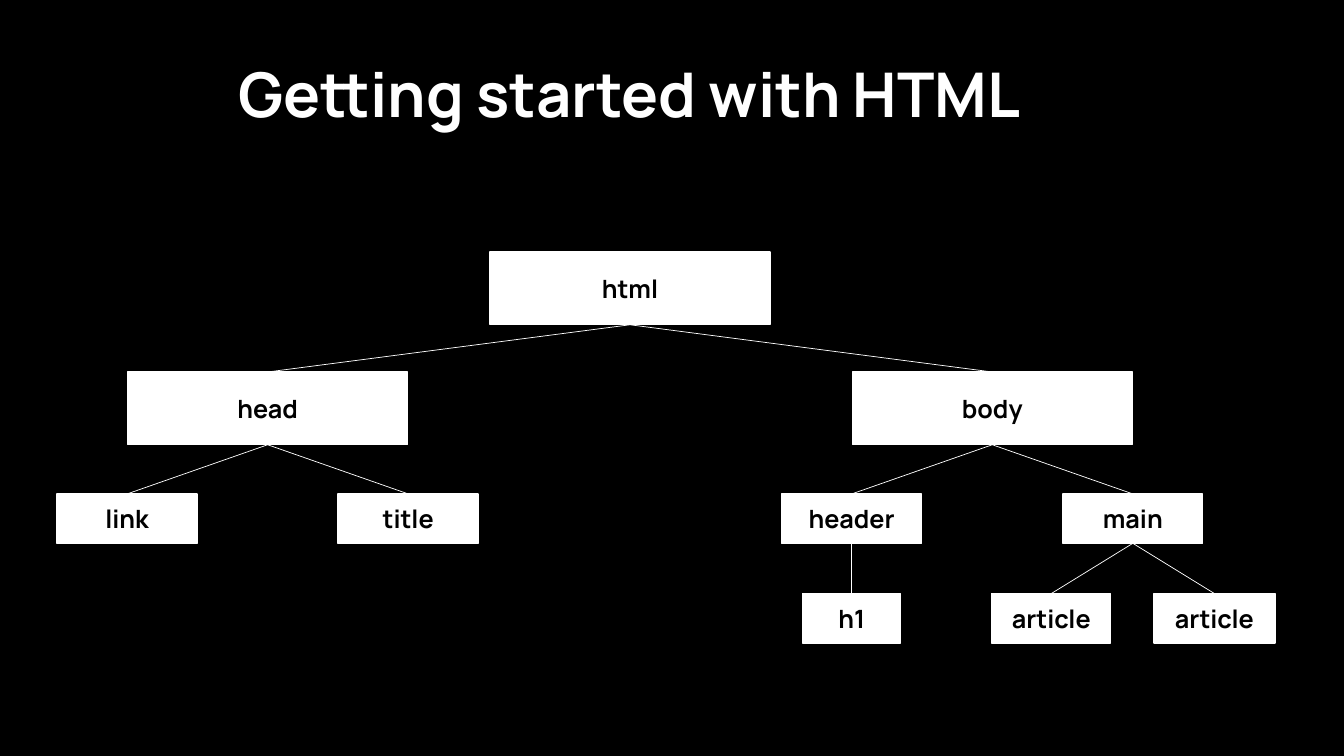
import dataclasses

import pptx
import pptx.dml.color
import pptx.enum.shapes
import pptx.enum.text
import pptx.oxml.ns
import pptx.util
from lxml import etree

Pt = pptx.util.Pt
RGB = pptx.dml.color.RGBColor.from_string
ALIGN = pptx.enum.text.PP_ALIGN
ANCHOR = pptx.enum.text.MSO_ANCHOR
SHAPE = pptx.enum.shapes.MSO_SHAPE
LINK = pptx.enum.shapes.MSO_CONNECTOR


@dataclasses.dataclass(frozen=True)
class Theme:
    dark: str = "000000"
    light: str = "FFFFFF"
    font: str = "Manrope"
    head: float = 44
    label: float = 18
    edge: float = 1
    link: float = 0.5


THEME = Theme()

# Each level: top offset in the tree box, height of its nodes
LEVELS = [(0, 52), (85.7, 52), (172.8, 35.3), (244, 35.3)]

# Each node: label, centre offset from its parent, width, children
TREE = ("html", 0, 200, [
    ("head", -258.8, 200, [
        ("link", -100.4, 100, []),
        ("title", 100.4, 100, []),
    ]),
    ("body", 258.8, 200, [
        ("header", -100.4, 100, [("h1", 0, 70, [])]),
        ("main", 100.4, 100, [
            ("article", -58.3, 85, []),
            ("article", 58.3, 86.4, []),
        ]),
    ]),
])


def style(item, values):
    """Set each attribute of item from a dict."""
    for key, value in values.items():
        setattr(item, key, value)


def write(shape, text, size, color, space=1.0):
    frame = shape.text_frame
    style(frame, {"word_wrap": True, "vertical_anchor": ANCHOR.MIDDLE})
    para = frame.paragraphs[0]
    style(para, {"alignment": ALIGN.CENTER, "line_spacing": space})
    run = para.add_run()
    run.text = text
    style(run.font, {"name": THEME.font, "size": Pt(size), "bold": True})
    run.font.color.rgb = RGB(color)


def title(slide, box, text):
    shape = slide.shapes.add_textbox(*map(Pt, box))
    write(shape, text, THEME.head, THEME.light, 0.9)


def node(slide, box, text):
    shape = slide.shapes.add_shape(SHAPE.RECTANGLE, *map(Pt, box))
    shape.shadow.inherit = False
    shape.fill.solid()
    shape.fill.fore_color.rgb = RGB(THEME.light)
    shape.line.color.rgb = RGB(THEME.light)
    shape.line.width = Pt(THEME.edge)
    write(shape, text, THEME.label, THEME.dark)
    return shape


def join(slide, upper, lower):
    """Link the bottom of one node to the top of another."""
    line = slide.shapes.add_connector(LINK.STRAIGHT, 0, 0, 0, 0)
    line.begin_connect(upper, 2)
    line.end_connect(lower, 0)
    line.line.color.rgb = RGB(THEME.light)
    line.line.width = Pt(THEME.link)
    props = line._element.spPr
    etree.SubElement(props, pptx.oxml.ns.qn("a:effectLst"))


def tree(slide, box, data, mid=None, depth=0):
    """Draw a node and its children; mid is the centre of the node."""
    text, _, width, kids = data
    left, top, span, _ = box
    if mid is None:
        mid = left + span / 2
    drop, height = LEVELS[depth]
    shape = node(slide, (mid - width / 2, top + drop, width, height), text)
    for kid in kids:
        lower = tree(slide, box, kid, mid + kid[1], depth + 1)
        join(slide, shape, lower)
    return shape


def main():
    deck = pptx.Presentation()
    style(deck, {"slide_width": Pt(960), "slide_height": Pt(540)})
    slide = deck.slides.add_slide(deck.slide_layouts[6])
    slide.background.fill.solid()
    slide.background.fill.fore_color.rgb = RGB(THEME.dark)
    title(slide, (103.7, 17.3, 692.6, 104.4), "Getting started with HTML")
    tree(slide, (40, 180, 820, 279.3), TREE)
    deck.save("out.pptx")


if __name__ == "__main__":
    main()
